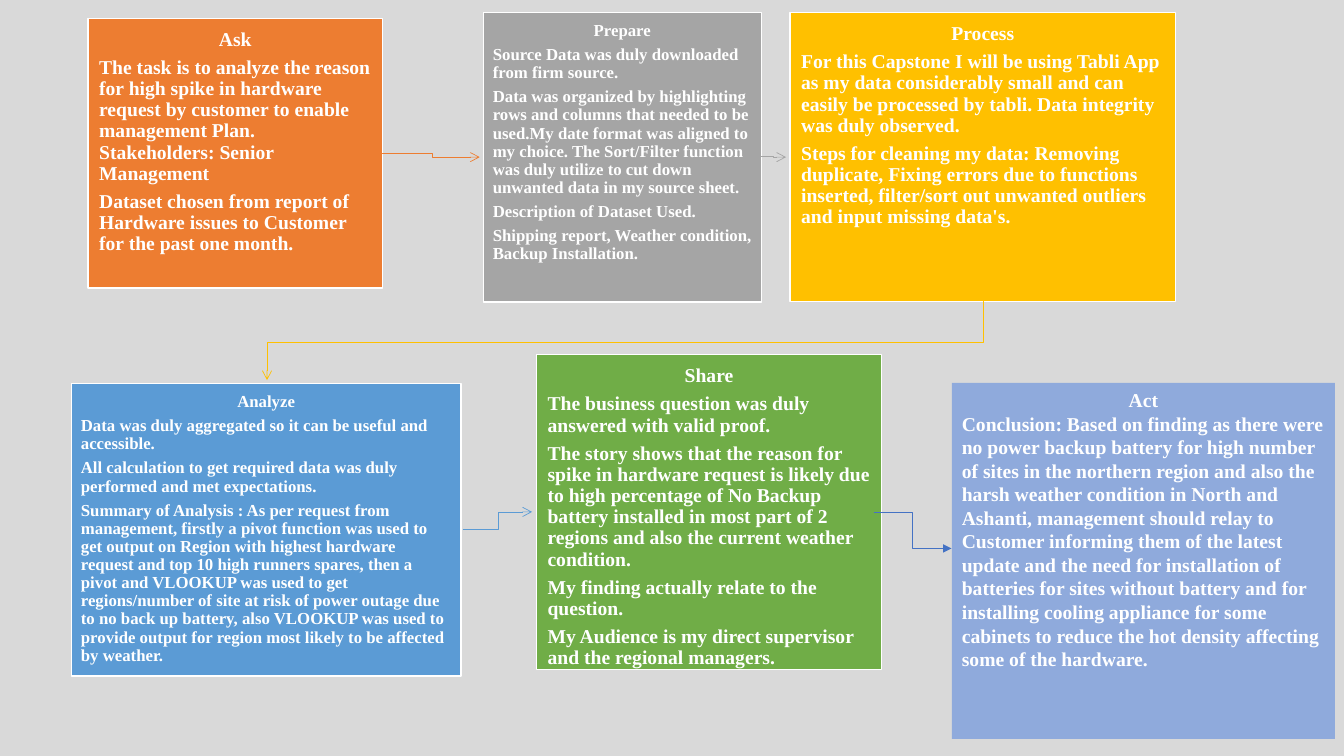
"""Build the six-step data analysis flow slide: ask, prepare, process, analyze, share, act."""
from pptx import Presentation
from pptx import util as u
from pptx.dml.color import RGBColor
from pptx.enum import shapes, text
from pptx.oxml import ns
from lxml import etree

COLORS = {
    "background": "D9D9D9", "white": "FFFFFF", "ask": "ED7D31", "prepare": "A5A5A5",
    "process": "FFC000", "analyze": "5B9BD5", "share": "70AD47", "act": "8FAADC",
    "share_arrow": "4472C4",
}
FONT = "Times New Roman"


def color(name):
    return RGBColor.from_string(COLORS[name])


def style_arrow(shape, color_name, head):
    shape.line.color.rgb = color(color_name)
    shape.line.width = u.Pt(0.5)
    properties = shape._element.spPr
    line = properties.find(ns.qn("a:ln"))
    etree.SubElement(line, ns.qn("a:tailEnd"), type=head)
    if properties.find(ns.qn("a:effectLst")) is None:
        etree.SubElement(properties, ns.qn("a:effectLst"))


presentation = Presentation()
presentation.slide_width = u.Cm(33.87)
presentation.slide_height = u.Cm(19.05)
slide = presentation.slides.add_slide(presentation.slide_layouts[6])
slide.background.fill.solid()
slide.background.fill.fore_color.rgb = color("background")

steps = [
    ("Ask", (2.22, 0.46, 7.42, 6.8), 14, [
        "The task is to analyze the reason for high spike in hardware request by customer "
        "to enable management Plan.\nStakeholders: Senior Management",
        "Dataset chosen from report of Hardware issues to Customer for the past one month.",
    ]),
    ("Prepare", (12.18, 0.32, 7.01, 7.29), 12, [
        "Source Data was duly downloaded from firm source.",
        "Data was organized by highlighting rows and columns that needed to be used."
        "My date format was aligned to my choice. The Sort/Filter function was duly utilize "
        "to cut down unwanted data in my source sheet.",
        "Description of Dataset Used.",
        "Shipping report, Weather condition, Backup Installation.",
    ]),
    ("Process", (19.91, 0.32, 9.72, 7.28), 14, [
        "For this Capstone I will be using Tabli App as my data considerably small and can "
        "easily be processed by tabli. Data integrity was duly observed.",
        "Steps for cleaning my data: Removing duplicate, Fixing errors due to functions "
        "inserted, filter/sort out unwanted outliers and input missing data's.",
    ]),
    ("Analyze", (1.8, 9.67, 9.82, 7.37), 12, [
        "Data was duly aggregated so it can be useful and accessible.",
        "All calculation to get required data was duly performed and met expectations.",
        "Summary of Analysis : As per request from management, firstly a pivot function was "
        "used to get output on Region with highest hardware request and top 10 high runners "
        "spares, then a pivot and VLOOKUP was used to get regions/number of site at risk of "
        "power outage due to no back up battery, also VLOOKUP was used to provide output for "
        "region most likely to be affected by weather.",
    ]),
    ("Share", (13.52, 8.94, 8.7, 7.94), 14, [
        "The business question was duly answered with valid proof.",
        "The story shows that the reason for spike in hardware request is likely due to high "
        "percentage of No Backup battery installed in most part of 2 regions and also the "
        "current weather condition.",
        "My finding actually relate to the question.",
        "My Audience is my direct supervisor and the regional managers.",
    ]),
    ("Act", (23.99, 9.65, 9.65, 8.97), 14, [
        "Conclusion: Based on finding as there were no power backup battery for high number of "
        "sites in the northern region and also the harsh weather condition in North and "
        "Ashanti, management should relay to Customer informing them of the latest update and "
        "the need for installation of batteries for sites without battery and for installing "
        "cooling appliance for some cabinets to reduce the hot density affecting some of the "
        "hardware.",
    ]),
]

for title, box, size, body in steps:
    is_act = title == "Act"
    shape = slide.shapes.add_shape(shapes.MSO_SHAPE.RECTANGLE, *map(u.Cm, box))
    shape.shadow.inherit = False
    shape.fill.solid()
    shape.fill.fore_color.rgb = color(title.lower())
    if is_act:
        shape.line.fill.background()
    else:
        shape.line.color.rgb = color("white")
        shape.line.width = u.Pt(1)
    frame = shape.text_frame
    frame.word_wrap = True
    frame.vertical_anchor = text.MSO_ANCHOR.TOP
    side = u.Cm(0.25 if is_act else 0.02 * size)
    frame.margin_left = frame.margin_right = side
    frame.margin_top = frame.margin_bottom = u.Cm(0.13) if is_act else side
    for index, content in enumerate([title] + body):
        paragraph = frame.paragraphs[0] if index == 0 else frame.add_paragraph()
        paragraph.alignment = text.PP_ALIGN.LEFT if index else text.PP_ALIGN.CENTER
        if not is_act:
            paragraph.line_spacing = 0.9
            paragraph.space_after = u.Pt(round(0.35 * size, 1))
        for row, line_text in enumerate(content.split("\n")):
            if row:
                paragraph.add_line_break()
            run = paragraph.add_run()
            run.text = line_text
            run.font.name = FONT
            run.font.size = u.Pt(size)
            run.font.bold = True
            run.font.color.rgb = color("white")

routes = {
    "ask": [(9.63, 3.86), (10.9, 3.86), (10.9, 3.96), (12.09, 3.96)],
    "prepare": [(19.18, 3.95), (19.5, 3.95), (19.5, 3.96), (19.81, 3.96)],
    "process": [(24.77, 7.59), (24.77, 8.64), (6.73, 8.64), (6.73, 9.58)],
    "analyze": [(11.66, 13.34), (12.57, 13.34), (12.57, 12.9), (13.41, 12.9)],
}
for color_name, route in routes.items():
    points = [(u.Cm(x), u.Cm(y)) for x, y in route]
    builder = slide.shapes.build_freeform(*points[0])
    builder.add_line_segments(points[1:], close=False)
    arrow = builder.convert_to_shape()
    arrow.fill.background()
    style_arrow(arrow, color_name, "arrow")

share_ends = (22.02, 12.9, 23.98, 13.82)
share_arrow = slide.shapes.add_connector(shapes.MSO_CONNECTOR.ELBOW, *map(u.Cm, share_ends))
style_arrow(share_arrow, "share_arrow", "triangle")

presentation.save("out.pptx")
